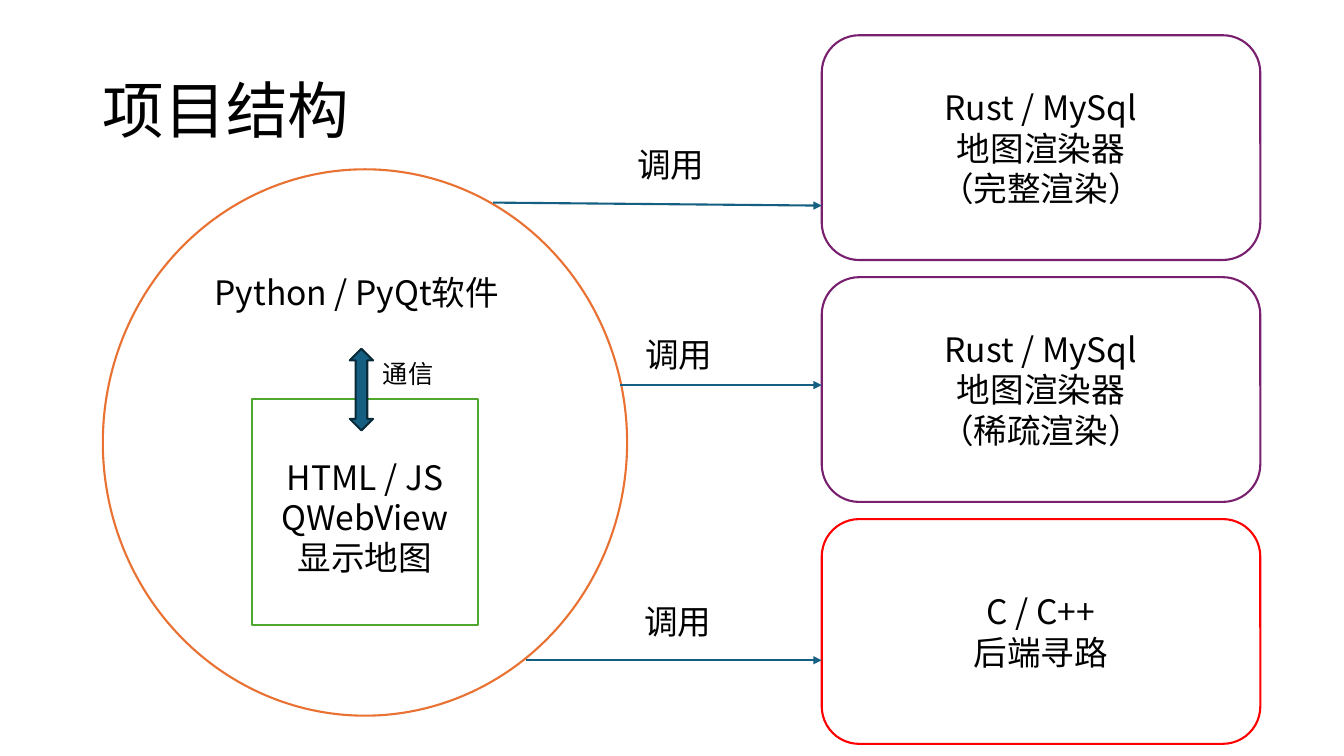
import pptx
import pptx.util
import pptx.dml.color
import pptx.enum.shapes
import pptx.enum.text
import pptx.oxml.ns
from lxml import etree

FONT = "Noto Sans CJK SC"
BLACK, WHITE, ORANGE, GREEN = "000000", "FFFFFF", "E97132", "4EA72E"
PURPLE, RED, BLUE, NAVY = "78206E", "FF0000", "156082", "092A39"
LINE_HEIGHT, INSET = 0.4, 0.1

SHAPE = pptx.enum.shapes.MSO_SHAPE
ALIGN = pptx.enum.text.PP_ALIGN
ANCHOR = pptx.enum.text.MSO_ANCHOR
AUTO = pptx.enum.text.MSO_AUTO_SIZE
inch = pptx.util.Inches


def color(hex_string):
    return pptx.dml.color.RGBColor.from_string(hex_string)


def child(parent, tag, **attributes):
    return etree.SubElement(parent, pptx.oxml.ns.qn(tag), attributes)


def write(tf, lines, size, align, spacing=None):
    for i, line in enumerate(lines):
        p = tf.paragraphs[0] if i == 0 else tf.add_paragraph()
        p.alignment = align
        p.line_spacing = spacing
        p.text = line
        for r in p.runs:
            formats = {"name": FONT, "size": pptx.util.Pt(size)}
            for name, value in formats.items():
                setattr(r.font, name, value)
            r.font.color.rgb = color(BLACK)
            child(r.font._element, "a:ea", typeface=FONT)


def add_text(s, x, y, w, h, lines, size=24, align=ALIGN.LEFT):
    tf = s.shapes.add_textbox(*map(inch, (x, y, w, h))).text_frame
    tf.word_wrap = True
    write(tf, lines, size, align)


def add_centred_text(s, box, width, lines):
    """Centre the lines in the box, counting a break inside a line as a new row."""
    x, y, w, h = box
    rows = sum(line.count("\v") + 1 for line in lines)
    height = rows * LINE_HEIGHT + INSET
    add_text(s, x + (w - width) / 2, y + (h - height) / 2, width, height,
             lines, align=ALIGN.CENTER)


def add_shape(s, kind, box, line, fill=WHITE):
    sp = s.shapes.add_shape(kind, *map(inch, box))
    sp.shadow.inherit = False
    sp.fill.solid()
    sp.fill.fore_color.rgb = color(fill)
    sp.line.color.rgb = color(line)
    sp.line.width = pptx.util.Pt(1.5)
    return sp


def add_title(s, box, title):
    sp = s.shapes.title
    for name, value in zip(("left", "top", "width", "height"), box):
        setattr(sp, name, inch(value))
    formats = {"vertical_anchor": ANCHOR.MIDDLE, "word_wrap": True, "auto_size": AUTO.NONE}
    for name, value in formats.items():
        setattr(sp.text_frame, name, value)
    write(sp.text_frame, [title], 44, ALIGN.LEFT, 0.9)


def add_app(s, box):
    """Draw the circle of the desktop program with its embedded web view."""
    x, y, w, h = box
    add_shape(s, SHAPE.OVAL, box, ORANGE)
    add_text(s, x + 1.01, y + 0.97, 3.19, 0.5, ["Python / PyQt软件"])

    web_view = x + 1.48, y + 2.28, 2.24, 2.24
    add_shape(s, SHAPE.RECTANGLE, web_view, GREEN)
    add_centred_text(s, (x + 1.48, y + 2.33, 2.24, 2.24), 2.24,
                     ["HTML / JS", "QWebView\v显示地图"])

    arrow = add_shape(s, SHAPE.LEFT_RIGHT_ARROW, (x + 2.16, y + 2.07, 0.81, 0.23), NAVY, BLUE)
    arrow.rotation = 270
    add_text(s, x + 2.68, y + 1.83, 1.05, 0.4, ["通信"], 18)


def add_backend(s, box, line, lines):
    add_shape(s, SHAPE.ROUNDED_RECTANGLE, box, line)
    add_centred_text(s, box, 3.16, lines)


def add_call(s, start, end, label_x, label_rise):
    """Draw an arrow with its label a given rise above the start."""
    c = s.shapes.add_connector(pptx.enum.shapes.MSO_CONNECTOR.STRAIGHT,
                               *map(inch, start + end))
    c.line.color.rgb = color(BLUE)
    c.line.width = pptx.util.Pt(1.5)
    child(c.line._get_or_add_ln(), "a:tailEnd", type="triangle")
    child(c._element.spPr, "a:effectLst")
    add_text(s, label_x, start[1] - label_rise, 1.86, 0.5, ["调用"])


def main():
    prs = pptx.Presentation()
    prs.slide_width, prs.slide_height = inch(13.33), inch(7.5)
    s = prs.slides.add_slide(prs.slide_layouts[5])

    add_title(s, (0.92, 0.4, 11.5, 1.45), "项目结构")
    add_app(s, (1.02, 1.68, 5.2, 5.42))

    left, top, width, height, pitch = 8.15, 0.35, 4.35, 2.23, 2.4
    backends = [
        (PURPLE, ["Rust / MySql", "地图渲染器", "（完整渲染）"]),
        (PURPLE, ["Rust / MySql", "地图渲染器", "（稀疏渲染）"]),
        (RED, ["C / C++", "后端寻路"]),
    ]
    for i, (line, lines) in enumerate(backends):
        add_backend(s, (left, top + i * pitch, width, height), line, lines)

    calls = [
        ((4.89, 2.01), 2.04, 6.22, 0.63),
        ((6.15, 3.82), 3.82, 6.3, 0.56),
        ((5.22, 6.55), 6.55, 6.29, 0.64),
    ]
    for start, end_y, label_x, label_rise in calls:
        add_call(s, start, (left, end_y), label_x, label_rise)

    prs.save("out.pptx")


if __name__ == "__main__":
    main()
